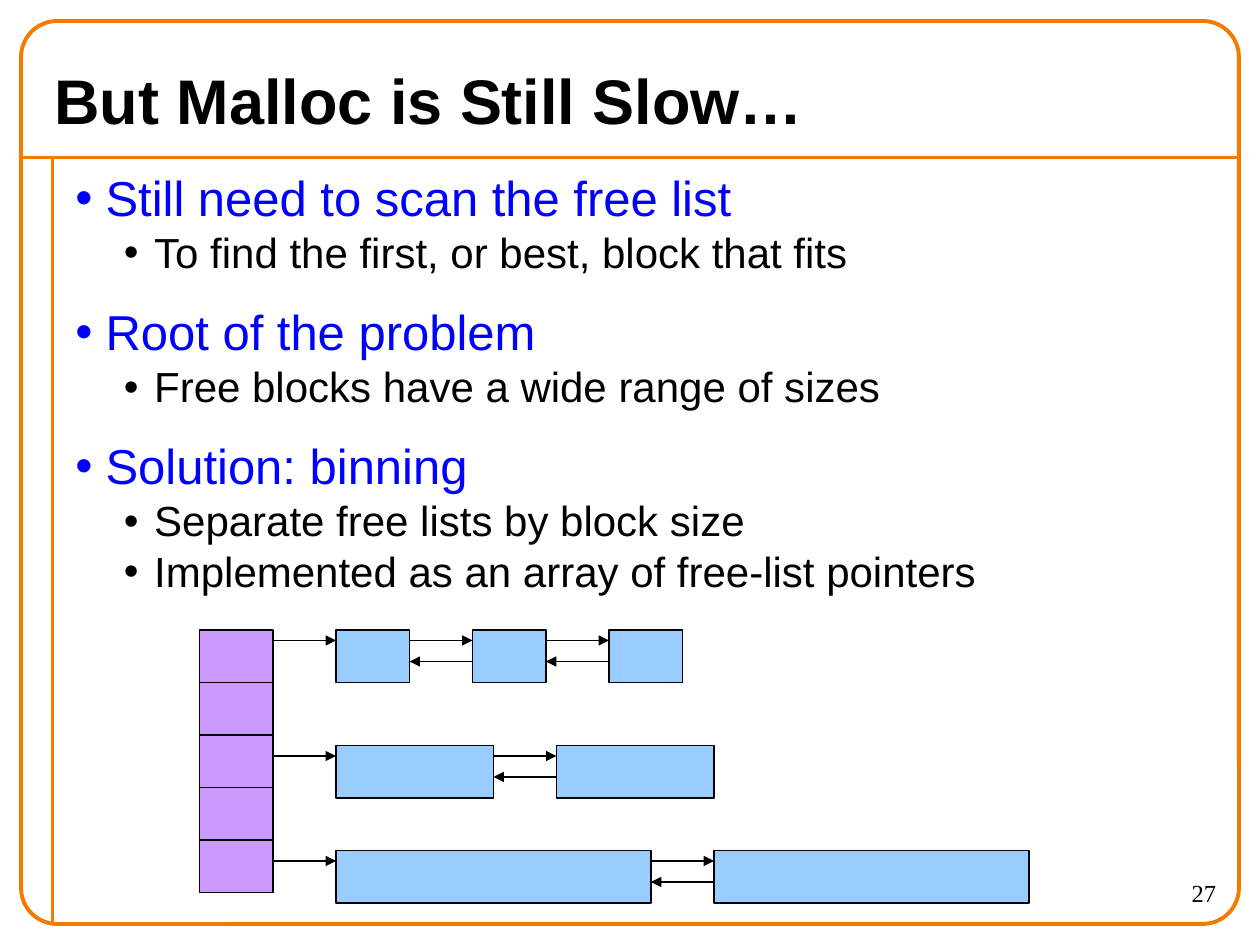
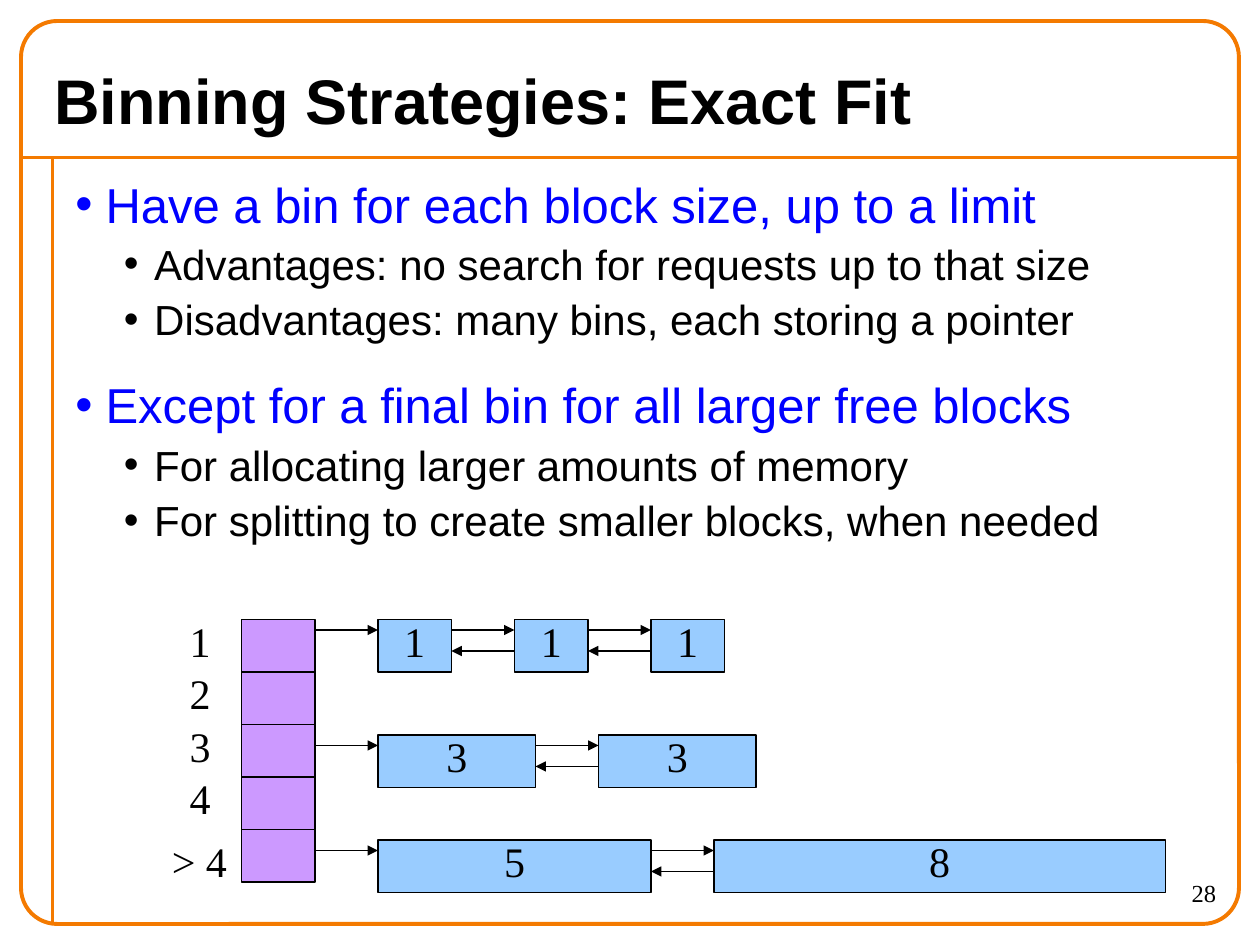
import itertools

import pptx
import pptx.dml.color
import pptx.enum.shapes
import pptx.enum.text
import pptx.oxml
import pptx.oxml.ns
import pptx.util

EMU_PER_PX = 9525
SLIDE_WIDTH, SLIDE_HEIGHT = 960, 720

ORANGE = pptx.dml.color.RGBColor(0xF4, 0x7A, 0x00)
BLUE = pptx.dml.color.RGBColor(0x00, 0x00, 0xFF)
BLACK = pptx.dml.color.RGBColor(0x00, 0x00, 0x00)
BIN_PURPLE = pptx.dml.color.RGBColor(0xCC, 0x99, 0xFF)
BLOCK_BLUE = pptx.dml.color.RGBColor(0x99, 0xCC, 0xFF)
SANS, SERIF = "Arial", "Times New Roman"

ALIGN = pptx.enum.text.PP_ALIGN
ANCHOR = pptx.enum.text.MSO_ANCHOR
SHAPE = pptx.enum.shapes.MSO_SHAPE

CELL_WIDTH, CELL_HEIGHT = 56, 40
LINK_LENGTH = 48
BIN_COUNT = 5
CHAIN_OFFSETS = (0, 88, 168)
LABEL_RISE = 8

# Level: left margin in px, size, colour, space before
BULLET_LEVELS = (
    (23, 28, BLUE, 17.5),
    (60, 24, BLACK, 3),
)
BULLET_HANG = 23


def px(*lengths):
    return [length * EMU_PER_PX for length in lengths]


def write_text(frame, text, *, size=24, font=SERIF, color=BLACK, bold=False,
               align=ALIGN.LEFT):
    """Fill the first paragraph of the frame, or add one after it."""
    paragraph = frame.paragraphs[0]
    if paragraph.runs:
        paragraph = frame.add_paragraph()
    paragraph.alignment = align
    run = paragraph.add_run()
    run.text = text
    run.font.size = pptx.util.Pt(size)
    run.font.name = font
    run.font.color.rgb = color
    run.font.bold = bold
    return paragraph


def add_frame(slide, left, top, width, height, anchor=ANCHOR.TOP, wrap=True):
    frame = slide.shapes.add_textbox(*px(left, top, width, height)).text_frame
    frame.word_wrap = wrap
    frame.vertical_anchor = anchor
    return frame


def add_line(slide, start, end, color=BLACK, weight=0.75, arrow=False):
    line = slide.shapes.add_connector(
        pptx.enum.shapes.MSO_CONNECTOR.STRAIGHT, *px(*start, *end))
    line.line.color.rgb = color
    line.line.width = pptx.util.Pt(weight)
    if arrow:
        tail = pptx.oxml.ns.qn("a:tailEnd")
        line.line._get_or_add_ln().makeelement(tail, {})
        head = line.line._get_or_add_ln()
        head.append(head.makeelement(tail, {"type": "triangle"}))
    properties = line._element.spPr
    properties.append(properties.makeelement(pptx.oxml.ns.qn("a:effectLst"), {}))


def add_box(slide, left, top, width, height, fill=None, line=BLACK, weight=0.75,
            kind=SHAPE.RECTANGLE):
    box = slide.shapes.add_shape(kind, *px(left, top, width, height))
    box.shadow.inherit = False
    if fill is None:
        box.fill.background()
    else:
        box.fill.solid()
        box.fill.fore_color.rgb = fill
    box.line.color.rgb = line
    box.line.width = pptx.util.Pt(weight)
    return box


def add_base_slide(deck, title, number):
    """Add a slide with the orange frame, its title and its number."""
    slide = deck.slides.add_slide(deck.slide_layouts[6])
    add_line(slide, (16, 120), (944, 120), ORANGE, 2.25)
    add_line(slide, (40, 120), (40, 704), ORANGE, 2.25)
    border = add_box(slide, 16, 16, 928, 688, line=ORANGE, weight=2.25,
                     kind=SHAPE.ROUNDED_RECTANGLE)
    border.adjustments[0] = 0.04
    write_text(add_frame(slide, 840, 664, 96, 40), str(number), size=14,
               align=ALIGN.RIGHT)
    write_text(add_frame(slide, 32, 40, 896, 72, ANCHOR.MIDDLE), title,
               size=36, font=SANS, bold=True)
    return slide


def set_bullet(paragraph, margin, color):
    properties = paragraph._p.get_or_add_pPr()
    properties.set("marL", str(margin * EMU_PER_PX))
    properties.set("indent", str(-BULLET_HANG * EMU_PER_PX))
    namespace = pptx.oxml.ns.nsdecls("a")
    for element in (f'<a:buClr {namespace}><a:srgbClr val="{color}"/></a:buClr>',
                    f'<a:buFont {namespace} typeface="{SANS}"/>',
                    f'<a:buChar {namespace} char="•"/>'):
        properties.append(pptx.oxml.parse_xml(element))


def add_bullets(slide, height, topics, line_spacing=1.0):
    """Write each topic, then its points one level deeper."""
    frame = add_frame(slide, 48, 128, 888, height)
    for topic, points in topics:
        for level, text in [(0, topic)] + [(1, point) for point in points]:
            margin, size, color, space_before = BULLET_LEVELS[level]
            paragraph = write_text(frame, text, size=size, font=SANS, color=color)
            set_bullet(paragraph, margin, color)
            paragraph.level = level
            paragraph.line_spacing = line_spacing
            if paragraph._p is not frame.paragraphs[0]._p:
                paragraph.space_before = pptx.util.Pt(space_before)


def add_chain(slide, left, top, blocks):
    """Draw a doubly linked free list of (width, label) blocks after a bin."""
    forward, back = top + 8, top + 24
    for position, (width, label) in enumerate(blocks):
        start = left + LINK_LENGTH
        add_line(slide, (left, forward), (start, forward), arrow=True)
        if position:
            add_line(slide, (start, back), (left, back), arrow=True)
        block = add_box(slide, start, top, width, CELL_HEIGHT, BLOCK_BLUE)
        if label:
            frame = block.text_frame
            frame.margin_top = 0
            frame.margin_bottom = LABEL_RISE * EMU_PER_PX
            frame.vertical_anchor = ANCHOR.MIDDLE
            write_text(frame, label, align=ALIGN.CENTER)
        left = start + width


def add_bins(slide, left, top, chains):
    for row in range(BIN_COUNT):
        add_box(slide, left, top + row * CELL_HEIGHT, CELL_WIDTH, CELL_HEIGHT,
                BIN_PURPLE)
    for offset, blocks in zip(CHAIN_OFFSETS, chains):
        add_chain(slide, left + CELL_WIDTH, top + offset, blocks)


def add_bin_labels(slide, center, top, labels):
    for row, label in enumerate(labels):
        width = 34 if len(label) == 1 else 62
        drop = 0 if len(label) == 1 else 8
        frame = add_frame(slide, center - width // 2,
                          top + row * CELL_HEIGHT - LABEL_RISE + drop,
                          width, 48, wrap=False)
        write_text(frame, label, align=ALIGN.CENTER)


def add_slow_malloc_slide(deck):
    slide = add_base_slide(deck, "But Malloc is Still Slow…", 27)
    add_bullets(slide, 576, [
        ("Still need to scan the free list",
         ["To find the first, or best, block that fits"]),
        ("Root of the problem",
         ["Free blocks have a wide range of sizes"]),
        ("Solution: binning",
         ["Separate free lists by block size",
          "Implemented as an array of free-list pointers"]),
    ], line_spacing=0.9)
    add_bins(slide, 152, 480, [
        [(56, "")] * 3,
        [(120, "")] * 2,
        [(240, "")] * 2,
    ])


def add_exact_fit_slide(deck):
    slide = add_base_slide(deck, "Binning Strategies: Exact Fit", 28)
    add_bullets(slide, 328, [
        ("Have a bin for each block size, up to a limit",
         ["Advantages: no search for requests up to that size",
          "Disadvantages: many bins, each storing a pointer"]),
        ("Except for a final bin for all larger free blocks",
         ["For allocating larger amounts of memory",
          "For splitting to create smaller blocks, when needed"]),
    ])
    add_bins(slide, 184, 472, [
        [(56, "1")] * 3,
        [(120, "3")] * 2,
        [(208, "5"), (344, "8")],
    ])
    add_bin_labels(slide, 152, 472, ["1", "2", "3", "4", "> 4"])


def main():
    deck = pptx.Presentation()
    deck.slide_width, deck.slide_height = px(SLIDE_WIDTH, SLIDE_HEIGHT)
    add_slow_malloc_slide(deck)
    add_exact_fit_slide(deck)
    deck.save("out.pptx")


if __name__ == "__main__":
    main()
